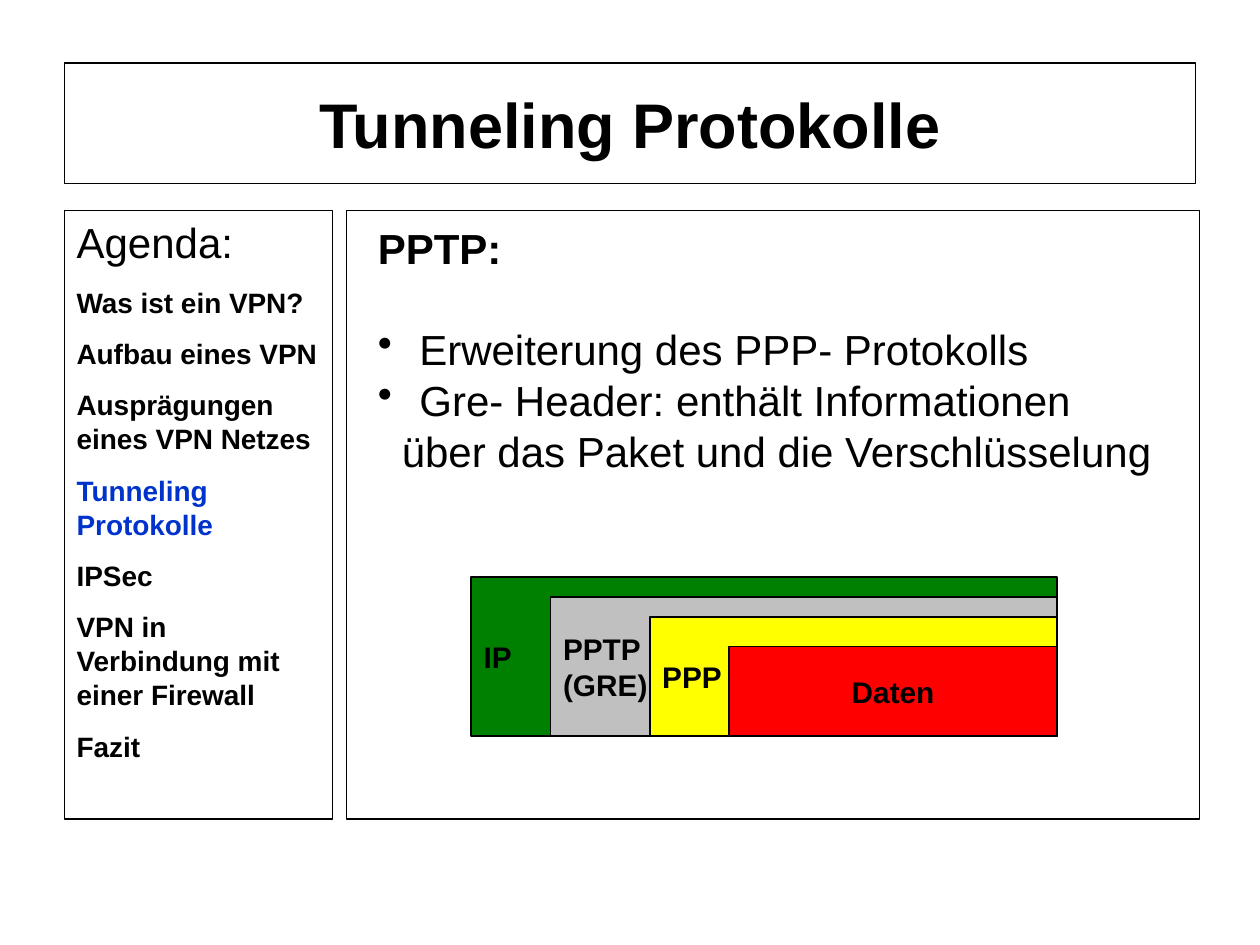
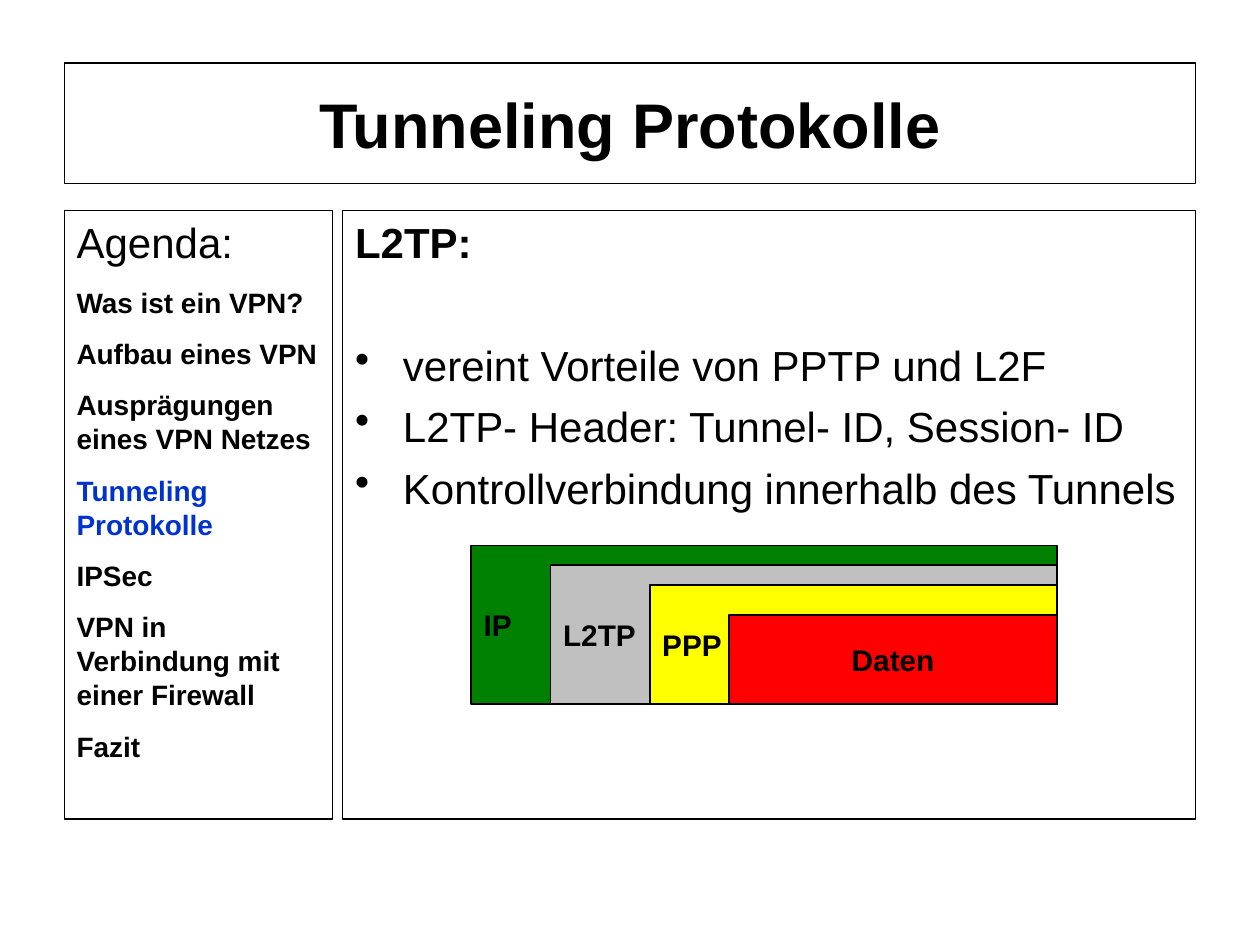
import dataclasses
import typing

import lxml.etree
import pptx
import pptx.dml.color
import pptx.enum.shapes
import pptx.enum.text
import pptx.oxml.ns
import pptx.util

# Square grid: 100 columns by 75 rows on a 10 x 7.5 inch slide
COLUMNS, ROWS = 100, 75
CELL = pptx.util.Inches(10) // COLUMNS
FONT = "Arial"
LINE_HEIGHT = 1.21
COLORS = {
    "text": "000000", "paper": "FFFFFF", "current": "0033CC",
    "ip": "008000", "tunnel": "C0C0C0", "ppp": "FFFF00", "data": "FF0000",
}
LEFT = pptx.enum.text.PP_ALIGN.LEFT
CENTER = pptx.enum.text.PP_ALIGN.CENTER
TOP = pptx.enum.text.MSO_ANCHOR.TOP
MIDDLE = pptx.enum.text.MSO_ANCHOR.MIDDLE


@dataclasses.dataclass(frozen=True)
class Area:
    """A place on the slide in grid cells."""
    left: float
    top: float
    width: float
    height: float

    def lengths(self) -> list[int]:
        return [round(cells * CELL) for cells in dataclasses.astuple(self)]


@dataclasses.dataclass(frozen=True)
class Line:
    """One paragraph; margin is in grid cells, before in points."""
    text: str
    size: float = 24
    bold: bool = False
    color: str = "text"
    before: float = 0
    margin: float = 0
    bullet: bool = False
    align: typing.Any = LEFT


@dataclasses.dataclass(frozen=True)
class Layer:
    """One protocol layer, offset in diagram units."""
    color: str
    column: float
    row: float
    align: typing.Any = LEFT


@dataclasses.dataclass(frozen=True)
class Topic:
    """What differs between the slides."""
    frame: Area
    frame_line: float
    text_box: Area | None
    lines: list[Line]
    diagram_top: float
    tunnel_label: list[str]


# Shared parts
TITLE = "Tunneling Protokolle"
TITLE_AREA = Area(5.1, 5, 89.8, 9.6)
AGENDA_AREA = Area(5.1, 16.7, 21.3, 48.3)
AGENDA = [
    "Was ist ein VPN?", "Aufbau eines VPN", "Ausprägungen eines VPN Netzes",
    TITLE, "IPSec", "VPN in Verbindung mit einer Firewall", "Fazit",
]

# Nested layers share their right and bottom edges
UNIT = 6.3 / 4
DIAGRAM_LEFT, DIAGRAM_WIDTH, DIAGRAM_HEIGHT = 37.4, 46.5, 8 * UNIT
LAYERS = [
    Layer("ip", 0, 0), Layer("tunnel", 4, 1),
    Layer("ppp", 9, 2), Layer("data", 13, 3.5, CENTER),
]

TOPICS = [
    Topic(
        Area(27.5, 16.7, 67.7, 48.3), 1, Area(29, 17.1, 63.5, 25),
        [
            Line("PPTP:", bold=True),
            Line("Erweiterung des PPP- Protokolls", before=29, margin=3.3, bullet=True),
            Line("Gre- Header: enthält Informationen", margin=3.3, bullet=True),
            Line("über das Paket und die Verschlüsselung", margin=1.9),
        ],
        45.8, ["PPTP", "(GRE)"],
    ),
    Topic(
        Area(27.2, 16.7, 67.7, 48.3), 0.75, None,
        [
            Line("L2TP:", bold=True),
            Line("vereint Vorteile von PPTP und L2F", before=41, margin=3.8, bullet=True),
            Line("L2TP- Header: Tunnel- ID, Session- ID", before=6, margin=3.8, bullet=True),
            Line("Kontrollverbindung innerhalb des Tunnels", before=6, margin=3.8, bullet=True),
        ],
        43.3, ["L2TP"],
    ),
]


def rgb(name: str) -> pptx.dml.color.RGBColor:
    return pptx.dml.color.RGBColor.from_string(COLORS[name])


def set_values(target: typing.Any, values: dict[str, typing.Any]) -> None:
    for name, value in values.items():
        setattr(target, name, value)


def add_indent(paragraph: typing.Any, line: Line) -> None:
    properties = paragraph._p.get_or_add_pPr()
    margin = round(line.margin * CELL)
    properties.set("marL", str(margin))
    properties.set("indent", str(-margin if line.bullet else 0))
    if line.bullet:
        bullet = lxml.etree.SubElement(properties, pptx.oxml.ns.qn("a:buChar"))
        bullet.set("char", "•")


def write_lines(shape: typing.Any, lines: list[Line], anchor: typing.Any = TOP,
                wrap: bool = True) -> None:
    frame = shape.text_frame
    set_values(frame, {
        "word_wrap": wrap, "vertical_anchor": anchor,
        "margin_left": CELL, "margin_right": CELL,
        "margin_top": CELL // 2, "margin_bottom": CELL // 2,
    })
    for index, line in enumerate(lines):
        paragraph = frame.add_paragraph() if index else frame.paragraphs[0]
        add_indent(paragraph, line)
        set_values(paragraph, {
            "alignment": line.align,
            "space_before": pptx.util.Pt(line.before),
            "line_spacing": pptx.util.Pt(line.size * LINE_HEIGHT),
        })
        run = paragraph.add_run()
        run.text = line.text
        set_values(run.font, {
            "name": FONT, "size": pptx.util.Pt(line.size), "bold": line.bold,
        })
        run.font.color.rgb = rgb(line.color)


def add_box(slide: typing.Any, area: Area, fill: str, line_width: float) -> typing.Any:
    shape = slide.shapes.add_shape(
        pptx.enum.shapes.MSO_SHAPE.RECTANGLE, *area.lengths())
    shape.shadow.inherit = False
    shape.fill.solid()
    shape.fill.fore_color.rgb = rgb(fill)
    shape.line.color.rgb = rgb("text")
    shape.line.width = pptx.util.Pt(line_width)
    return shape


def add_panel(slide: typing.Any, area: Area, line_width: float = 0.75) -> typing.Any:
    """A half transparent white box."""
    shape = add_box(slide, area, "paper", line_width)
    color = shape._element.spPr.find(
        "/".join(map(pptx.oxml.ns.qn, ("a:solidFill", "a:srgbClr"))))
    lxml.etree.SubElement(color, pptx.oxml.ns.qn("a:alpha")).set("val", "50000")
    return shape


def add_title(slide: typing.Any) -> None:
    line = Line(TITLE, size=36, bold=True, align=CENTER)
    write_lines(add_panel(slide, TITLE_AREA), [line], MIDDLE)


def add_agenda(slide: typing.Any) -> None:
    entries = [
        Line(entry, size=16, bold=True, before=10,
             color="current" if entry == TITLE else "text")
        for entry in AGENDA
    ]
    write_lines(add_panel(slide, AGENDA_AREA), [Line("Agenda:"), *entries])


def add_diagram(slide: typing.Any, top: float, tunnel_label: list[str]) -> None:
    labels = [["IP"], tunnel_label, ["PPP"], ["Daten"]]
    for layer, label in zip(LAYERS, labels):
        across, down = layer.column * UNIT, layer.row * UNIT
        area = Area(DIAGRAM_LEFT + across, top + down,
                    DIAGRAM_WIDTH - across, DIAGRAM_HEIGHT - down)
        lines = [Line(text, size=17, bold=True, align=layer.align) for text in label]
        write_lines(add_box(slide, area, layer.color, 1), lines, MIDDLE, wrap=False)


def add_topic(presentation: typing.Any, topic: Topic) -> None:
    slide = presentation.slides.add_slide(presentation.slide_layouts[6])
    add_title(slide)
    add_agenda(slide)
    holder = add_panel(slide, topic.frame, topic.frame_line)
    if topic.text_box:
        holder = slide.shapes.add_textbox(*topic.text_box.lengths())
    write_lines(holder, topic.lines, wrap=topic.text_box is None)
    add_diagram(slide, topic.diagram_top, topic.tunnel_label)


def main() -> None:
    presentation = pptx.Presentation()
    set_values(presentation, {
        "slide_width": COLUMNS * CELL, "slide_height": ROWS * CELL,
    })
    for topic in TOPICS:
        add_topic(presentation, topic)
    presentation.save("out.pptx")


if __name__ == "__main__":
    main()
